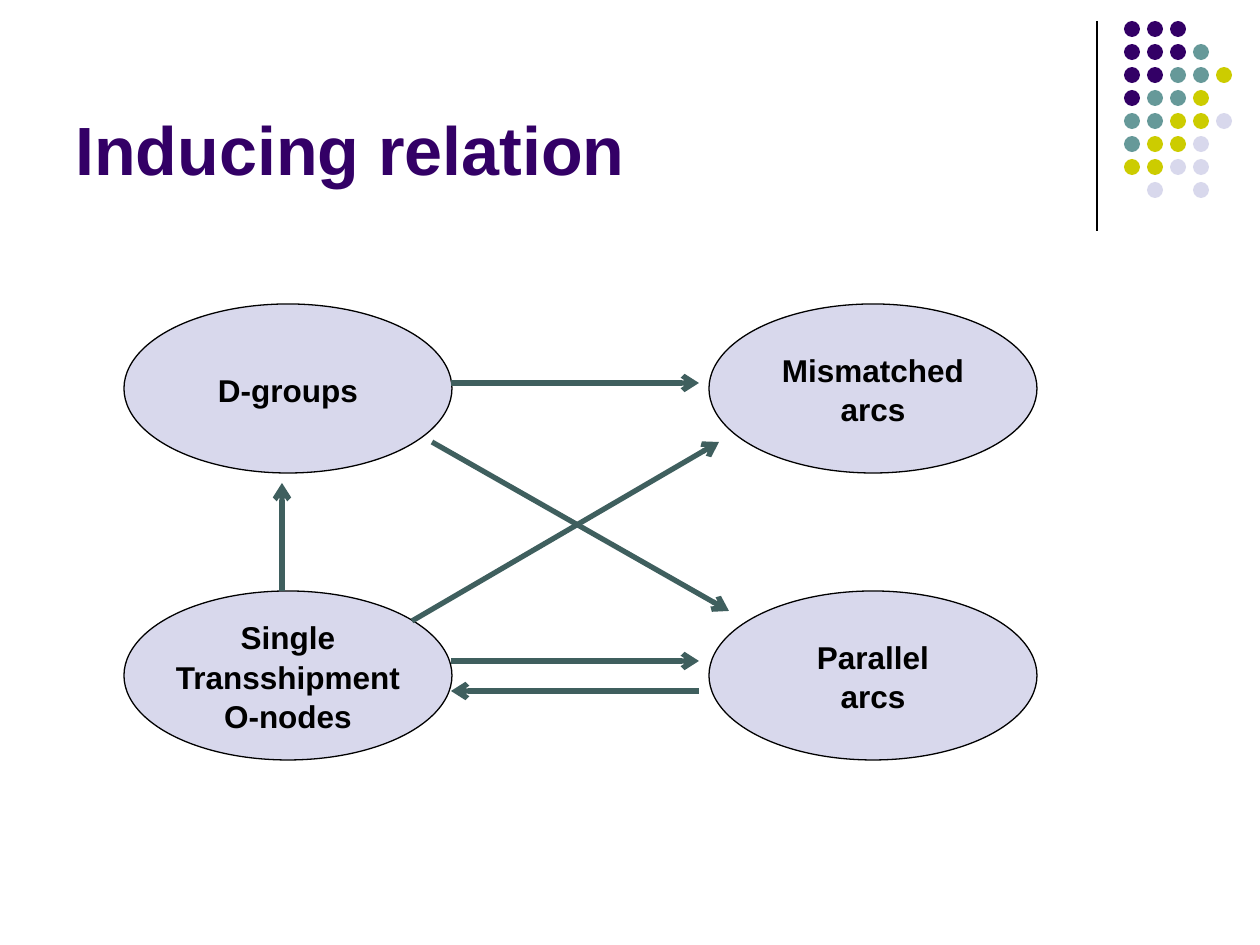
from lxml import etree
from pptx import Presentation
from pptx.dml.color import RGBColor
from pptx.enum.shapes import MSO_CONNECTOR, MSO_SHAPE
from pptx.enum.text import MSO_ANCHOR, PP_ALIGN
from pptx.oxml.ns import qn
from pptx.util import Pt

EMU_PER_PX = 914400 / 126
OVAL = MSO_SHAPE.OVAL
STRAIGHT = MSO_CONNECTOR.STRAIGHT
BOTTOM = MSO_ANCHOR.BOTTOM
MIDDLE = MSO_ANCHOR.MIDDLE
CENTER = PP_ALIGN.CENTER

BLACK = RGBColor(0x00, 0x00, 0x00)
PURPLE = RGBColor(0x33, 0x00, 0x66)
TEAL = RGBColor(0x66, 0x99, 0x99)
OLIVE = RGBColor(0xCC, 0xCC, 0x00)
LAVENDER = RGBColor(0xD8, 0xD8, 0xEC)
DARK_TEAL = RGBColor(0x3F, 0x5F, 0x5E)

DOT_COLORS = {"P": PURPLE, "T": TEAL, "O": OLIVE, "L": LAVENDER}
DOT_ROWS = ["PPP", "PPPT", "PPTTO", "PTTO", "TTOOL", "TOOL", "OOLL", " L L"]
DOT_LEFT, DOT_TOP, DOT_SIZE, DOT_PITCH = 1124, 21, 16, 23

NODE_WIDTH, NODE_HEIGHT = 328, 169
LEFT_COLUMN, RIGHT_COLUMN = 124, 709
TOP_ROW, BOTTOM_ROW = 304, 591
NODES = [
    (LEFT_COLUMN, TOP_ROW, ["D-groups"]),
    (LEFT_COLUMN, BOTTOM_ROW, ["Single", "Transshipment", "O-nodes"]),
    (RIGHT_COLUMN, TOP_ROW, ["Mismatched", "arcs"]),
    (RIGHT_COLUMN, BOTTOM_ROW, ["Parallel", "arcs"]),
]
ARROWS = [
    ((282, 591), (282, 483)),
    ((451, 661), (699, 661)),
    ((699, 691), (451, 691)),
    ((451, 383), (699, 383)),
    ((432, 442), (729, 611)),
    ((412, 621), (719, 442)),
]


def px(value):
    return round(value * EMU_PER_PX)


def style_font(paragraph, size, color):
    font = paragraph.font
    font.name = "Arial"
    font.size = Pt(size)
    font.bold = True
    font.color.rgb = color


def add_title(slide, text):
    box = slide.shapes.add_textbox(px(63), px(16), px(1040), px(179))
    frame = box.text_frame
    frame.word_wrap = True
    frame.vertical_anchor = BOTTOM
    paragraph = frame.paragraphs[0]
    paragraph.text = text
    style_font(paragraph, 39, PURPLE)


def add_oval(shapes, left, top, width, height, color):
    shape = shapes.add_shape(OVAL, px(left), px(top), px(width), px(height))
    shape.shadow.inherit = False
    shape.fill.solid()
    shape.fill.fore_color.rgb = color
    return shape


def add_dots(slide):
    group = slide.shapes.add_group_shape()
    for row, codes in enumerate(DOT_ROWS):
        for column, code in enumerate(codes):
            if code in DOT_COLORS:
                dot = add_oval(group.shapes, DOT_LEFT + column * DOT_PITCH,
                               DOT_TOP + row * DOT_PITCH,
                               DOT_SIZE, DOT_SIZE, DOT_COLORS[code])
                dot.line.fill.background()


def add_node(slide, left, top, lines):
    node = add_oval(slide.shapes, left, top, NODE_WIDTH, NODE_HEIGHT, LAVENDER)
    node.line.color.rgb = BLACK
    node.line.width = Pt(0.75)
    frame = node.text_frame
    frame.word_wrap = False
    frame.vertical_anchor = MIDDLE
    frame.text = "\n".join(lines)
    for paragraph in frame.paragraphs:
        paragraph.alignment = CENTER
        paragraph.line_spacing = 1.05
        style_font(paragraph, 18, BLACK)


def add_line(slide, start, end, color, width):
    line = slide.shapes.add_connector(STRAIGHT, *map(px, start + end))
    line.line.color.rgb = color
    line.line.width = Pt(width)
    etree.SubElement(line._element.spPr, qn("a:effectLst"))
    return line


def add_arrow(slide, start, end):
    arrow = add_line(slide, start, end, DARK_TEAL, 3)
    etree.SubElement(arrow.line._get_or_add_ln(), qn("a:tailEnd"), type="arrow")


def main():
    presentation = Presentation()
    presentation.slide_width = px(1260)
    presentation.slide_height = px(945)
    slide = presentation.slides.add_slide(presentation.slide_layouts[6])
    add_line(slide, (1097, 21), (1097, 231), BLACK, 0.75)
    add_dots(slide)
    add_title(slide, "Inducing relation")
    for left, top, lines in NODES:
        add_node(slide, left, top, lines)
    for start, end in ARROWS:
        add_arrow(slide, start, end)
    presentation.save("out.pptx")


if __name__ == "__main__":
    main()
